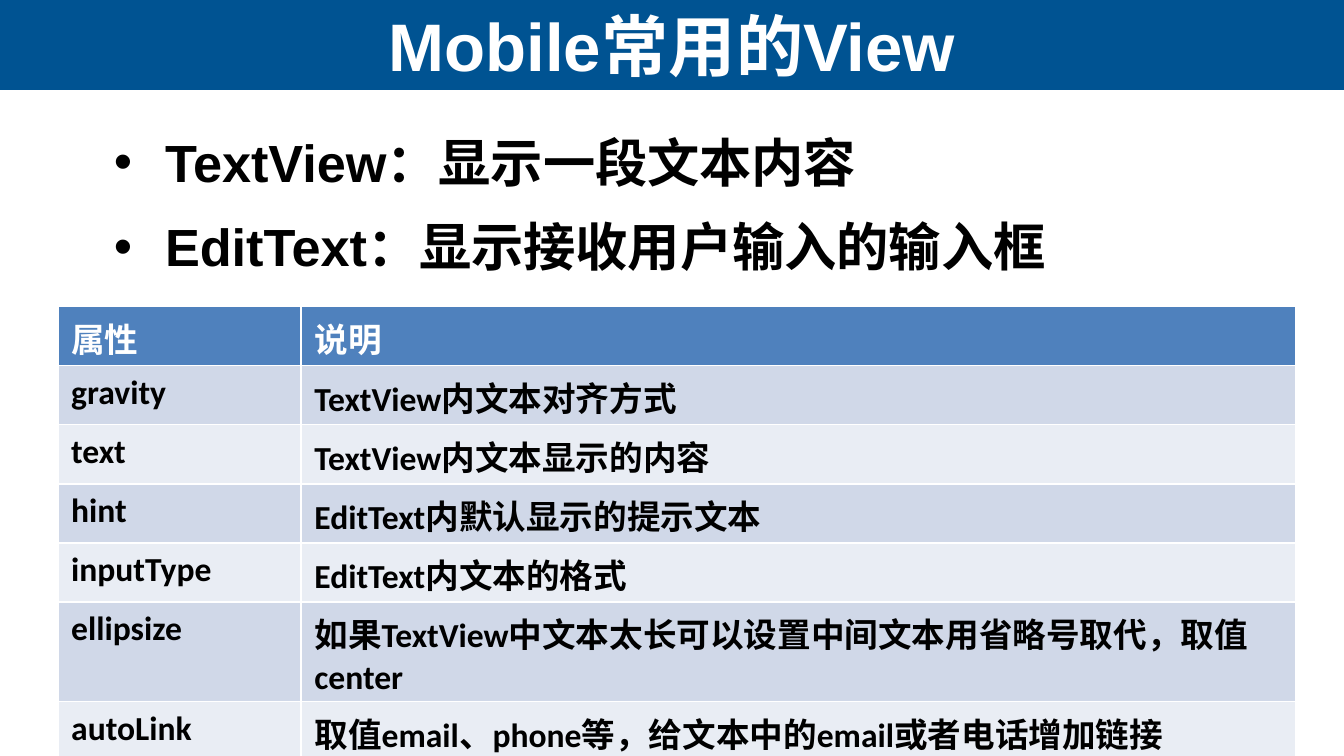
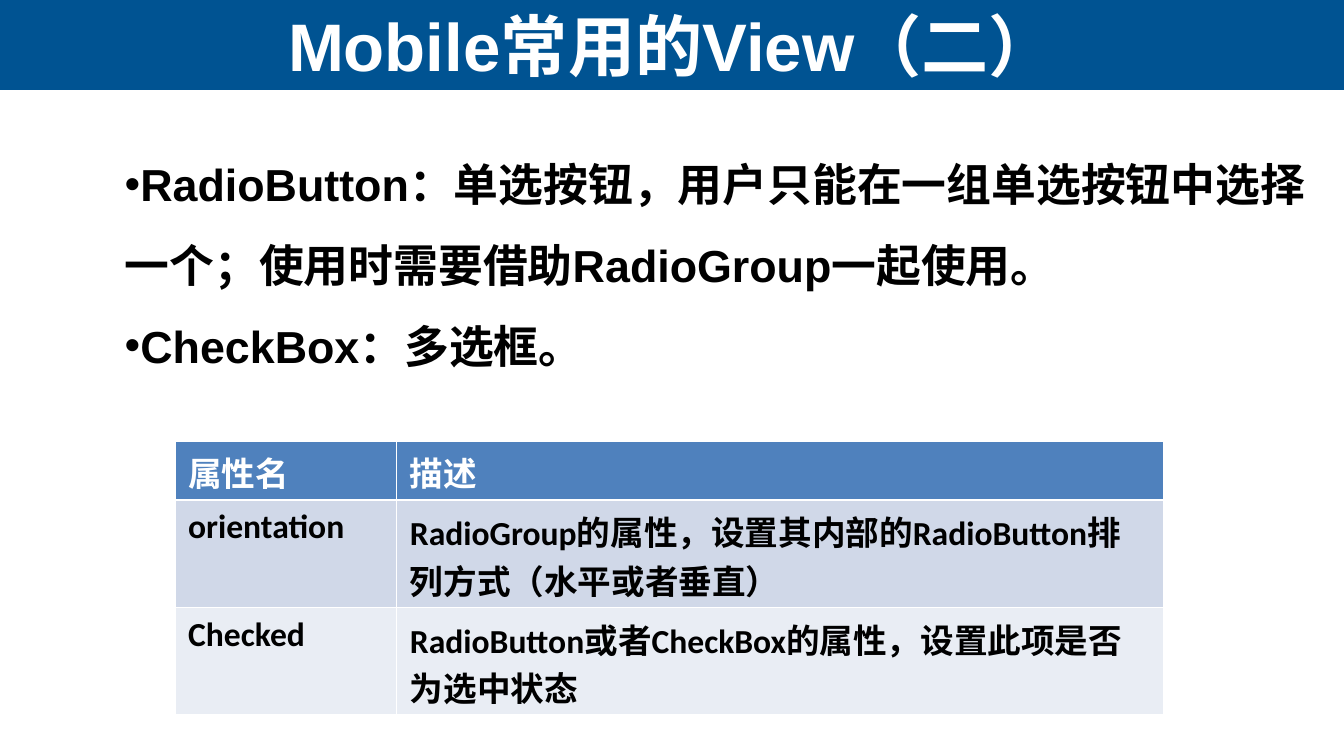
import pptx
import pptx.util
import pptx.dml.color
import pptx.enum.shapes
import pptx.enum.text
import pptx.oxml
import pptx.oxml.ns

Inches = pptx.util.Inches
Pt = pptx.util.Pt

COLORS = {
    "band": "005392",
    "white": "FFFFFF",
    "text": "000000",
    "header": "4F81BD",
    "odd": "D0D8E8",
    "even": "E9EDF4",
}


def rgb(name):
    return pptx.dml.color.RGBColor.from_string(COLORS[name])


def add_xml(parent, tag, content="", **attrs):
    ns = pptx.oxml.ns.nsdecls("a")
    values = " ".join(f'{k}="{v}"' for k, v in attrs.items())
    parent.append(pptx.oxml.parse_xml(f"<a:{tag} {ns} {values}>{content}</a:{tag}>"))


class Deck:
    heading_font = "Arial"
    table_font = "Calibri"
    band_height = 0.67

    def __init__(self):
        self.prs = pptx.Presentation()
        self.prs.slide_width = Inches(10)
        self.prs.slide_height = Inches(10) * 9 // 16
        self.s = None

    def place(self, sp, left, top, width, height):
        sp.left, sp.top = Inches(left), Inches(top)
        sp.width, sp.height = Inches(width), Inches(height)

    def run(self, p, text, size, font, color):
        r = p.add_run()
        r.text = text
        r.font.size = Pt(size)
        r.font.name = font
        r.font.bold = True
        r.font.color.rgb = rgb(color)

    def slide(self, title):
        self.s = self.prs.slides.add_slide(self.prs.slide_layouts[5])
        self.band()
        sp = self.s.shapes.title
        self.place(sp, 0, 0, 10, self.band_height)
        tf = sp.text_frame
        tf.word_wrap = True
        tf.auto_size = pptx.enum.text.MSO_AUTO_SIZE.NONE
        tf.vertical_anchor = pptx.enum.text.MSO_ANCHOR.MIDDLE
        p = tf.paragraphs[0]
        p.alignment = pptx.enum.text.PP_ALIGN.CENTER
        self.run(p, title, 36, self.heading_font, "white")

    def band(self):
        sp = self.s.shapes.add_shape(
            pptx.enum.shapes.MSO_SHAPE.RECTANGLE,
            0, 0, Inches(10), Inches(self.band_height))
        sp.shadow.inherit = False
        sp.fill.solid()
        sp.fill.fore_color.rgb = rgb("band")
        sp.line.fill.background()
        self.s.shapes.element.insert(2, sp.element)

    def bullets(self, box, items, size, indent=0, before=0, after=0, spacing=1.0):
        sp = self.s.shapes.add_textbox(*map(Inches, box))
        tf = sp.text_frame
        tf.word_wrap = True
        for i, item in enumerate(items):
            p = tf.add_paragraph() if i else tf.paragraphs[0]
            p.line_spacing = spacing
            p.space_before = Pt(before)
            p.space_after = Pt(after)
            pPr = p._p.get_or_add_pPr()
            pPr.set("marL", str(Inches(indent)))
            pPr.set("indent", str(-Inches(indent)))
            add_xml(pPr, "buFont", typeface=self.heading_font)
            add_xml(pPr, "buChar", char="•")
            self.run(p, item, size, self.heading_font, "text")

    def borders(self, cell):
        tcPr = cell._tc.get_or_add_tcPr()
        line = f'<a:solidFill><a:srgbClr val="{COLORS["white"]}"/></a:solidFill>'
        for side in "LRTB":
            add_xml(tcPr, "ln" + side, line, w=Pt(1))

    def table(self, left, top, widths, heights, rows):
        frame = self.s.shapes.add_table(
            len(rows), len(widths), Inches(left), Inches(top),
            Inches(sum(widths)), Inches(sum(heights)))
        table = frame.table
        for column, width in zip(table.columns, widths):
            column.width = Inches(width)
        for i, (row, height) in enumerate(zip(rows, heights)):
            table.rows[i].height = Inches(height)
            fill = "header" if i == 0 else "odd" if i % 2 else "even"
            for j, text in enumerate(row):
                cell = table.cell(i, j)
                cell.margin_left = cell.margin_right = Inches(0.1)
                cell.margin_top = cell.margin_bottom = Inches(0.05)
                self.borders(cell)
                cell.fill.solid()
                cell.fill.fore_color.rgb = rgb(fill)
                self.run(cell.text_frame.paragraphs[0], text, 18,
                         self.table_font, "text" if i else "white")


def main():
    deck = Deck()

    deck.slide("Mobile常用的View")
    deck.bullets(
        (0.75, 0.92, 9, 4.04),
        ["TextView：显示一段文本内容", "EditText：显示接收用户输入的输入框"],
        28, indent=0.38, before=5.6, after=6)
    deck.table(0.43, 2.28, [1.81, 7.4], [0.44] * 5 + [0.74, 0.68], [
        ("属性", "说明"),
        ("gravity", "TextView内文本对齐方式"),
        ("text", "TextView内文本显示的内容"),
        ("hint", "EditText内默认显示的提示文本"),
        ("inputType", "EditText内文本的格式"),
        ("ellipsize", "如果TextView中文本太长可以设置中间文本用省略号取代，取值center"),
        ("autoLink", "取值email、phone等，给文本中的email或者电话增加链接"),
    ])

    deck.slide("Mobile常用的View（二）")
    deck.bullets(
        (0.83, 0.92, 9.03, 3.71),
        ["RadioButton：单选按钮，用户只能在一组单选按钮中选择一个；使用时需要借助RadioGroup一起使用。",
         "CheckBox：多选框。"],
        24, spacing=1.5)
    deck.table(1.3, 3.28, [1.65, 5.71], [0.44, 0.8, 0.8], [
        ("属性名", "描述"),
        ("orientation", "RadioGroup的属性，设置其内部的RadioButton排列方式（水平或者垂直）"),
        ("Checked", "RadioButton或者CheckBox的属性，设置此项是否为选中状态"),
    ])

    deck.prs.save("out.pptx")


if __name__ == "__main__":
    main()
